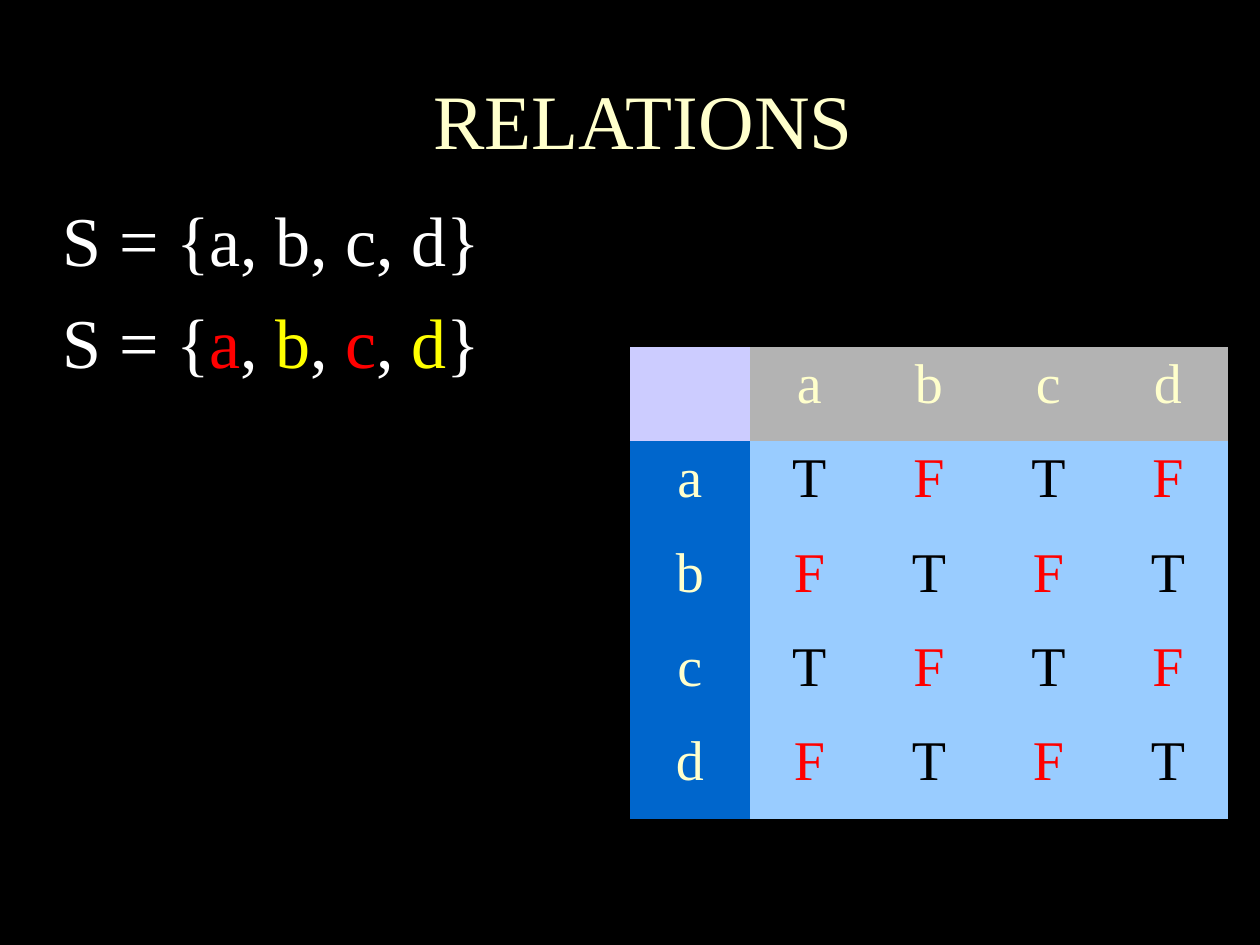
from pptx import Presentation
from pptx.dml.color import RGBColor as Rgb
from pptx.enum.text import MSO_ANCHOR as Anchor, PP_ALIGN as Align
from pptx.oxml.ns import qn
from pptx.util import Pt

PX = 914400 // 126
FONT = "Times New Roman"
PLAIN_TABLE_STYLE = "{2D5ABB26-0587-4C30-8999-92F81FD0307C}"
COLORS = {
    "page": "000000",
    "cream": "FFFFCC",
    "white": "FFFFFF",
    "red": "FF0000",
    "yellow": "FFFF00",
    "black": "000000",
    "corner": "CCCCFF",
    "column_head": "B3B3B3",
    "row_head": "0066CC",
    "value": "99CCFF",
}
ELEMENTS = "abcd"


def color(name):
    return Rgb.from_string(COLORS[name])


def style_font(font, size, color_name):
    font.name = FONT
    font.size = Pt(size)
    font.color.rgb = color(color_name)


def add_text_frame(page, box, top_inset):
    frame = page.shapes.add_textbox(*(length * PX for length in box)).text_frame
    frame.word_wrap = True
    frame.margin_left = frame.margin_right = frame.margin_bottom = 0
    frame.margin_top = top_inset * PX
    return frame


def add_title(page, box):
    frame = add_text_frame(page, box, 16)
    frame.vertical_anchor = Anchor.MIDDLE
    para = frame.paragraphs[0]
    para.text = "RELATIONS"
    para.alignment = Align.CENTER
    style_font(para.runs[0].font, 44, "cream")


def add_sets(page, box):
    frame = add_text_frame(page, box, 8)
    plain_line = [("S = {a, b, c, d}", "white")]

    # The second line colours the elements by equivalence class
    colored_line = [("S = {", "white")]
    for index, element in enumerate(ELEMENTS):
        if index:
            colored_line.append((", ", "white"))
        colored_line.append((element, ("red", "yellow")[index % 2]))
    colored_line.append(("}", "white"))

    for index, line in enumerate((plain_line, colored_line)):
        para = frame.add_paragraph() if index else frame.paragraphs[0]
        if index:
            para.space_before = Pt(10)
        for text, color_name in line:
            span = para.add_run()
            span.text = text
            style_font(span.font, 40, color_name)


def cell_content(row, column):
    """Return the text, text colour and fill of one cell."""
    if row == 0 and column == 0:
        return "", "cream", "corner"
    if row == 0:
        return ELEMENTS[column - 1], "cream", "column_head"
    if column == 0:
        return ELEMENTS[row - 1], "cream", "row_head"
    # Elements are related when their positions have the same parity
    if (row - column) % 2 == 0:
        return "T", "black", "value"
    return "F", "red", "value"


def add_relation_table(page, box):
    count = len(ELEMENTS) + 1
    frame = page.shapes.add_table(count, count, *(length * PX for length in box))
    table = frame.table
    table.first_row = table.horz_banding = False
    table._tbl.tblPr.find(qn("a:tableStyleId")).text = PLAIN_TABLE_STYLE

    for row in range(count):
        for column in range(count):
            text, text_color, fill = cell_content(row, column)
            cell = table.cell(row, column)
            cell.fill.solid()
            cell.fill.fore_color.rgb = color(fill)
            para = cell.text_frame.paragraphs[0]
            para.text = text
            para.alignment = Align.CENTER
            for span in para.runs:
                style_font(span.font, 32, text_color)


def main():
    deck = Presentation()
    deck.slide_width, deck.slide_height = 1260 * PX, 945 * PX
    page = deck.slides.add_slide(deck.slide_layouts[6])
    page.background.fill.solid()
    page.background.fill.fore_color.rgb = color("page")

    add_title(page, (31, 31, 1225, 159))
    add_sets(page, (63, 189, 1071, 756))
    add_relation_table(page, (630, 347, 598, 472))
    deck.save("out.pptx")


if __name__ == "__main__":
    main()
